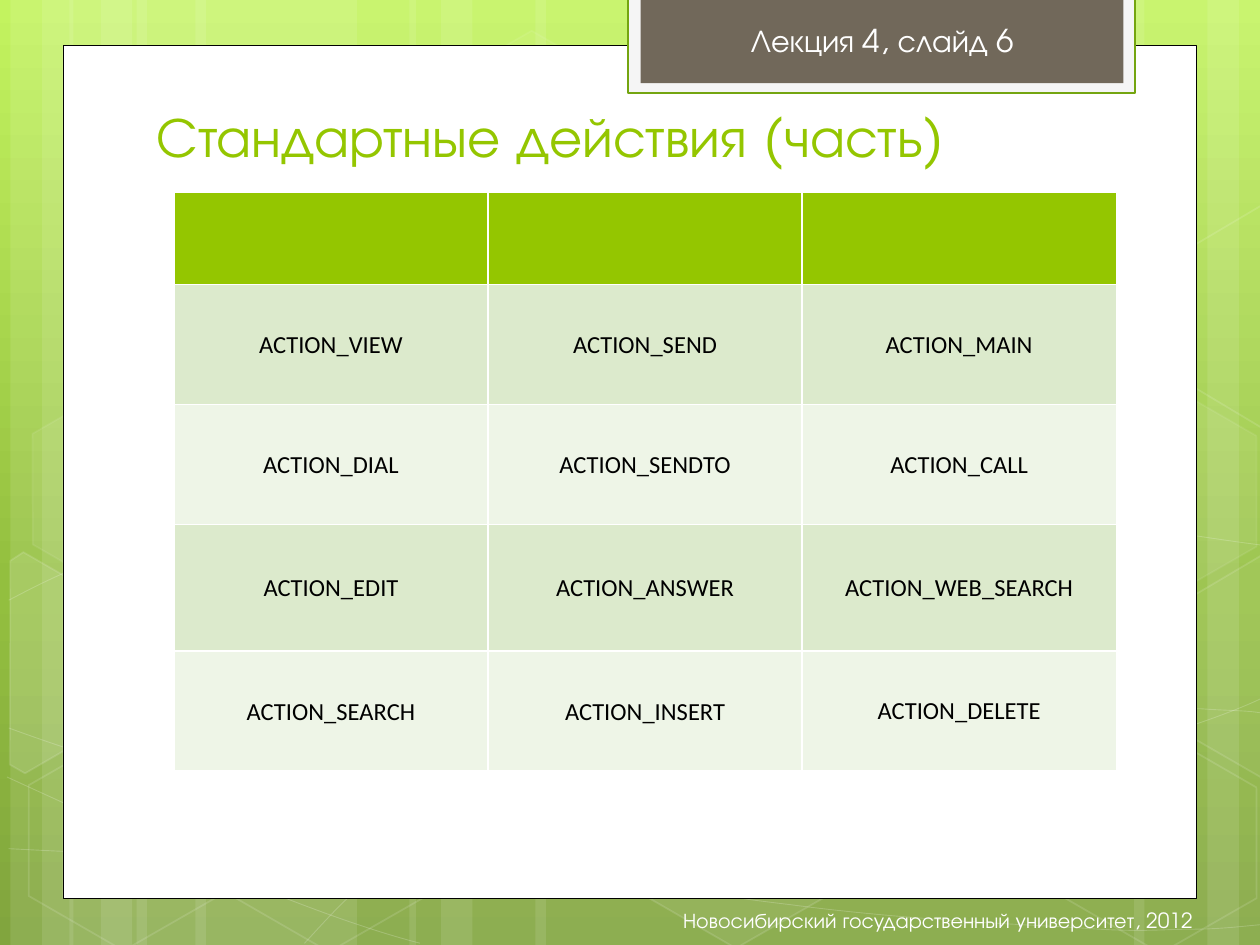
"""Build the lecture slide listing the standard actions in a table."""
import math
import pptx
import pptx.dml.color
import pptx.enum.shapes
import pptx.enum.text
import pptx.oxml.ns
import pptx.util
from lxml import etree

Pt = pptx.util.Pt
qn = pptx.oxml.ns.qn
Rgb = pptx.dml.color.RGBColor.from_string
Kind = pptx.enum.shapes.MSO_SHAPE
Align = pptx.enum.text.PP_ALIGN
Anchor = pptx.enum.text.MSO_ANCHOR

theme = dict(
    white="FFFFFF", black="000000", green="94C600", edge="74A510",
    brown="71685A", frame="F5F5F5", bands=("DCEACC", "EEF5E7"),
    back=((0, "C3F35F"), (62, "93BF3F"), (100, "81A53E")),
    head="TeX Gyre Adventor", body="Calibri",
    title=32, label=18, cell=14, foot=12,
)


def paint(shape, fill=None, alpha=100, line=None, width=1, fade=100):
    """Set the fill and line of a shape, with opacity in percent."""
    shape.shadow.inherit = False
    parts = ((shape.fill, fill, alpha, "a:solidFill/a:srgbClr"),
             (shape.line.fill, line, fade, "a:ln/a:solidFill/a:srgbClr"))
    for part, color, solid, tag in parts:
        if color is None:
            part.background()
            continue
        part.solid()
        part.fore_color.rgb = Rgb(color)
        if solid < 100:
            node = shape.element.spPr.xpath(tag)[0]
            etree.SubElement(node, qn("a:alpha"), val=str(solid * 1000))
    if line:
        shape.line.width = Pt(width)


def write(frame, text, size, font, color, align=Align.LEFT):
    """Put one styled paragraph in a text frame."""
    para = frame.paragraphs[0]
    para.text = text
    para.alignment = align
    para.font.size = Pt(size)
    para.font.name = font
    para.font.color.rgb = Rgb(color)


deck = pptx.Presentation()
deck.slide_width, deck.slide_height = Pt(720), Pt(540)
slide = deck.slides.add_slide(deck.slide_layouts[6])
shapes = slide.shapes
white = theme["white"]

back = slide.background.fill
back.gradient()
back.gradient_angle = 270
stops = next(slide.element.iter(qn("a:gsLst")))
for stop in list(stops):
    stops.remove(stop)
for pos, color in theme["back"]:
    stop = etree.SubElement(stops, qn("a:gs"), pos=str(pos * 1000))
    etree.SubElement(stop, qn("a:srgbClr"), val=color)

bars = ((78, 126), (6, 36), (24, 60), (111.6, 126), (39.6, 36), (57.6, 60),
        (528, 126), (690, 36), (648, 60), (306, 222), (234, 36), (252, 60))
for left, width in bars:
    bar = shapes.add_shape(Kind.RECTANGLE, Pt(left), 0, Pt(width), Pt(540))
    paint(bar, white, 10)

curves = (
    ((5, 485), (44, 487, 83, 489, 137, 488), (191, 487, 258, 486, 330, 479),
     (402, 472, 504, 458, 570, 444), (636, 431, 703, 409, 725, 397)),
    ((5, 343), (26, 332, 47, 321, 87, 310), (128, 300, 186, 284, 250, 279),
     (314, 274, 392, 273, 471, 279), (550, 284, 682, 307, 725, 312)),
    ((4, 444), (91, 484, 178, 523, 240, 539)),
    ((5, 416), (27, 424, 50, 432, 92, 444), (134, 454, 197, 472, 257, 485),
     (317, 497, 392, 510, 452, 517), (512, 525, 576, 528, 614, 530),
     (652, 533, 662, 531, 680, 531), (699, 531, 712, 529, 725, 528)),
    ((174, 539), (187, 525, 200, 510, 217, 498), (235, 485, 259, 470, 279, 460),
     (300, 450, 312, 446, 338, 438), (364, 431, 413, 421, 438, 416),
     (464, 411, 467, 411, 490, 410), (512, 408, 547, 405, 572, 405),
     (597, 404, 638, 405, 638, 405), (654, 405, 670, 405, 686, 405),
     (699, 406, 711, 406, 718, 407), (724, 408, 722, 407, 724, 408)),
)
for start, *bends in curves:
    pen = shapes.build_freeform(*start, scale=Pt(1))
    for bend in bends:
        pen.add_line_segments(zip(bend[::2], bend[1::2]), close=False)
    curve = pen.convert_to_shape()
    legs = list(curve.element.iter(qn("a:lnTo")))
    for first, *rest in zip(legs[::3], legs[1::3], legs[2::3]):
        first.tag = qn("a:cubicBezTo")
        for leg in rest:
            first.append(leg[0])
            leg.getparent().remove(leg)
    paint(curve, line=white, width=0.5, fade=20)

cells = ((240.5, 25.9, 4, 8), (357.8, 424.1, 6, 12), (7.9, 425.5, 0, 12),
         (10.1, 224.6, 7, 8), (125.3, 426.2, 0, 12), (542.2, 326.2, 10, 12),
         (600.5, 427, 0, 12), (600.5, 226.1, 7, 8))
for left, top, alpha, fade in cells:
    hexa = shapes.add_shape(Kind.HEXAGON, Pt(left), Pt(top), Pt(126), Pt(109.5))
    hexa.adjustments[0] = 0.29
    hexa.rotation = 30
    paint(hexa, white if alpha else None, alpha, white, 1, fade)

halves = (
    (10, (25.9, 385.2), ((5.8, 320.4), (13.7, 315.4), (69.1, 347), (68.4, 410.4),
                         (14.4, 442.1), (5.8, 437))),
    (4, (709.2, 374.4), ((666.7, 349.2), (720.7, 317.5), (726.5, 321.1),
                         (726.5, 441.4), (721.4, 444.2), (666.7, 412.6))),
    (0, (709.2, 173.5), ((666.7, 149), (720.7, 117.4), (727.2, 121),
                         (726.5, 241.2), (721.4, 244.1), (666.7, 212.4))),
)
cos, sin = math.cos(math.pi / 6), math.sin(math.pi / 6)
for alpha, (mid, axis), dots in halves:
    start, *dots = [(mid + (x - mid) * cos + (y - axis) * sin,
                     axis + (y - axis) * cos - (x - mid) * sin)
                    for x, y in dots]
    pen = shapes.build_freeform(*start, scale=Pt(1))
    pen.add_line_segments(dots)
    half = pen.convert_to_shape()
    half.rotation = 30
    paint(half, white if alpha else None, alpha, white, 1, 12)

panels = ((36, 26, 648, 487.2, white, theme["black"], 0.5),
          (359, -1.5, 289.5, 54.5, theme["frame"], theme["edge"], 1.25),
          (366, -1.5, 276, 49, theme["brown"], None, 0))
for *box, fill, line, width in panels:
    panel = shapes.add_shape(Kind.RECTANGLE, *map(Pt, box))
    paint(panel, fill, line=line, width=width)

labels = (
    ((422, 8.3, 176, 29), "Лекция 4, слайд 6", "label", white,
     Align.LEFT, Anchor.TOP, False),
    ((286.3, 511, 402.5, 29), "Новосибирский государственный университет, 2012",
     "foot", white, Align.RIGHT, Anchor.MIDDLE, True),
    ((82.4, 54.7, 553, 45.4), "Стандартные действия (часть)", "title",
     theme["green"], Align.LEFT, Anchor.BOTTOM, True),
)
for box, text, size, color, align, anchor, wrap in labels:
    frame = shapes.add_textbox(*map(Pt, box)).text_frame
    frame.word_wrap = wrap
    frame.vertical_anchor = anchor
    write(frame, text, theme[size], theme["head"], color, align)

rows = (("", "", ""),
        ("ACTION_VIEW", "ACTION_SEND", "ACTION_MAIN"),
        ("ACTION_DIAL", "ACTION_SENDTO", "ACTION_CALL"),
        ("ACTION_EDIT", "ACTION_ANSWER", "ACTION_WEB_SEARCH"),
        ("ACTION_SEARCH", "ACTION_INSERT", "ACTION_DELETE"))
highs = (52.5, 68.6, 68.6, 72.2, 68.6)
table = shapes.add_table(5, 3, Pt(99.4), Pt(110.1), Pt(538.5), Pt(330.5)).table
for col in table.columns:
    col.width = Pt(179.5)
for r, (row, high) in enumerate(zip(rows, highs)):
    table.rows[r].height = Pt(high)
    for c, text in enumerate(row):
        cell = table.cell(r, c)
        cell.fill.solid()
        shade = theme["bands"][(r - 1) % 2] if r else theme["green"]
        cell.fill.fore_color.rgb = Rgb(shade)
        if text:
            cell.vertical_anchor = Anchor.MIDDLE
            write(cell.text_frame, text, theme["cell"], theme["body"],
                  theme["black"], Align.CENTER)
            if c < 2 or r == 1:
                cell.margin_left = cell.margin_right = cell.margin_top = Pt(0.75)
                cell.margin_bottom = 0

deck.save("out.pptx")
